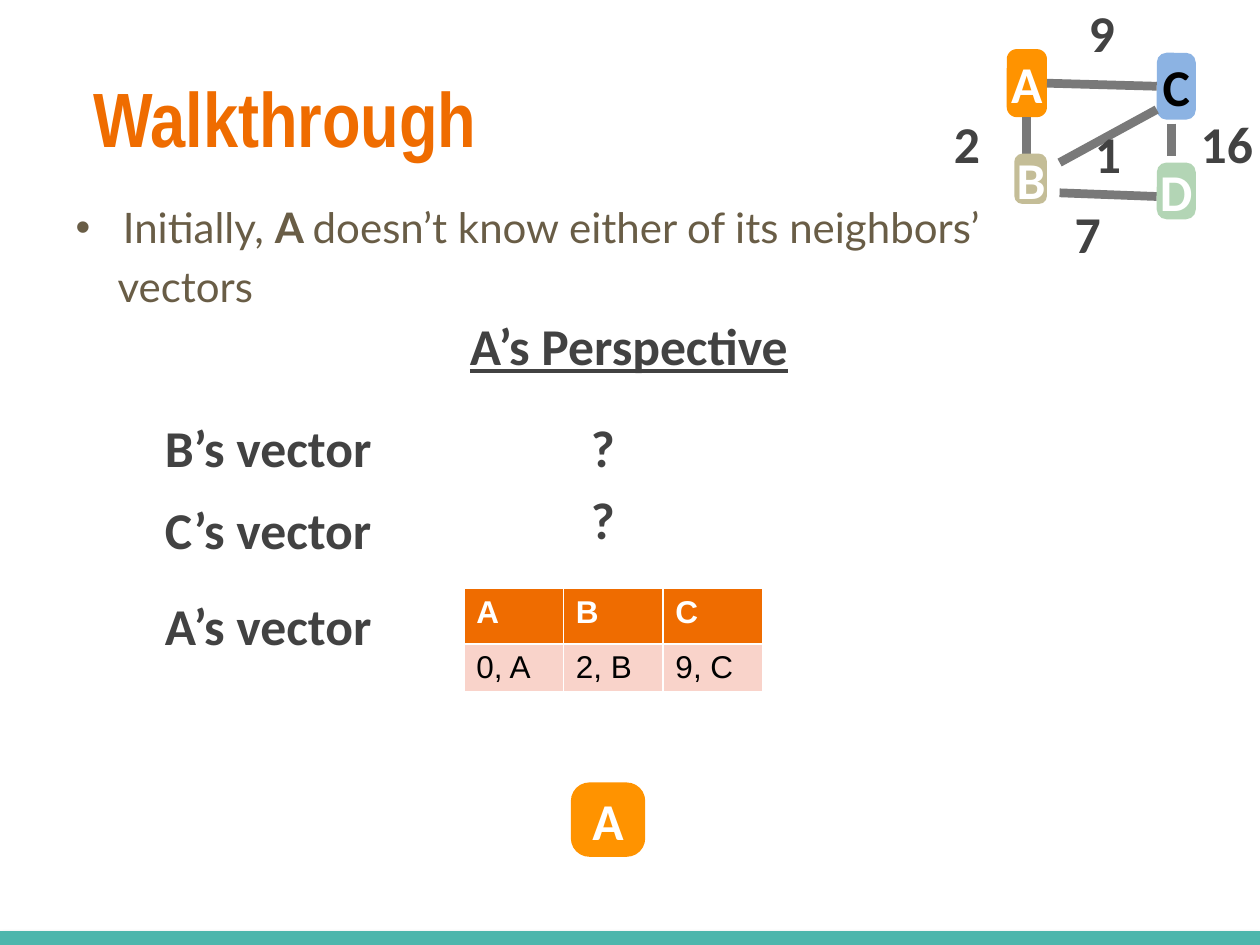
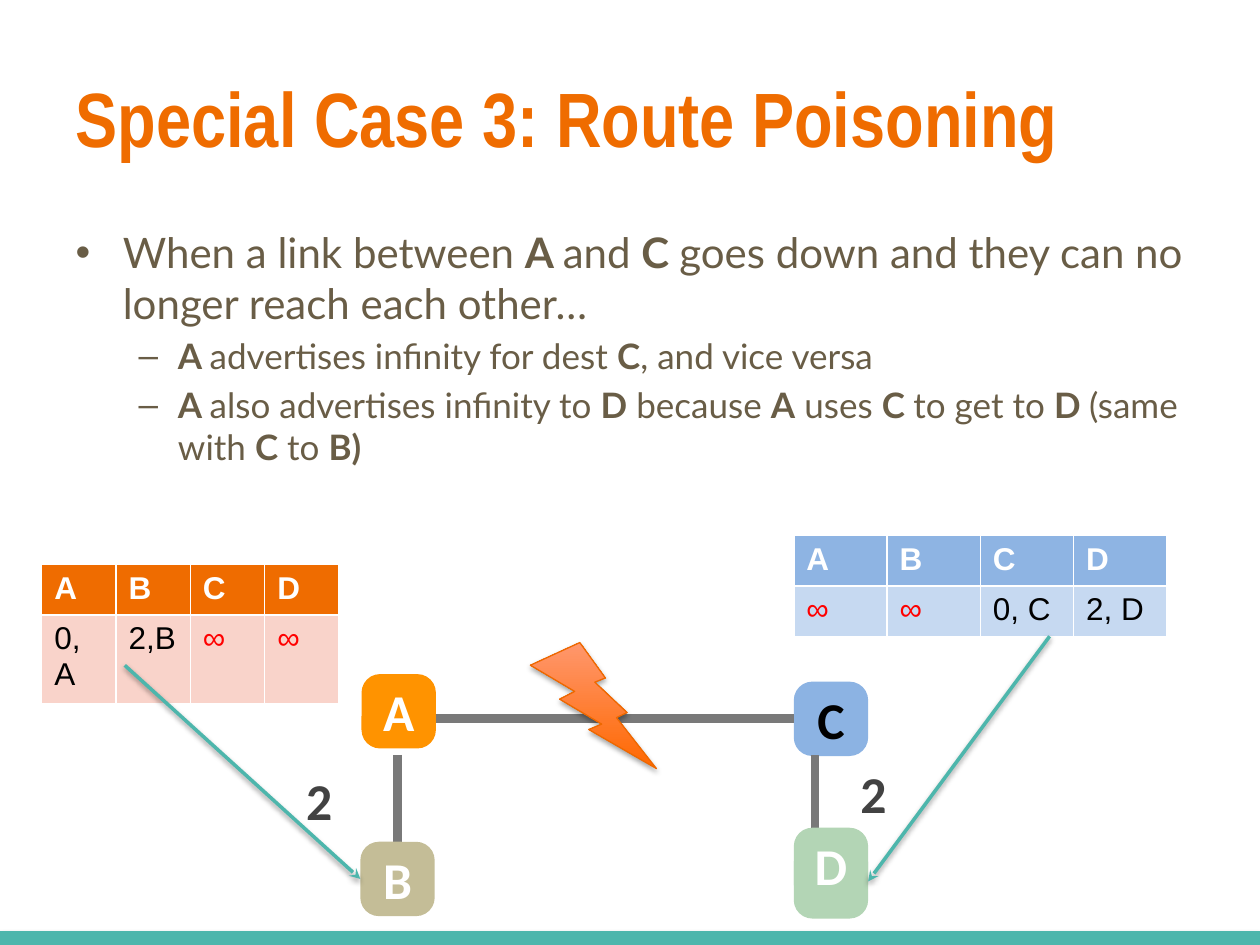
"""Build two slides on distance-vector routing."""
from dataclasses import dataclass

from lxml.etree import SubElement
from pptx import Presentation
from pptx.dml.color import RGBColor
from pptx.enum.shapes import MSO_CONNECTOR, MSO_SHAPE
from pptx.enum.text import MSO_ANCHOR, MSO_AUTO_SIZE, PP_ALIGN
from pptx.oxml.ns import qn
from pptx.util import Pt

TOP, LEFT, BOTTOM, RIGHT = range(4)


@dataclass(frozen=True)
class Theme:
    title: str = "EF6C00"
    body: str = "695D46"
    label: str = "424242"
    accent: str = "4DB6AC"
    link: str = "797979"
    white: str = "FFFFFF"
    black: str = "000000"
    alert: str = "FF0000"
    orange_rows: tuple = ("EF6C00", "F9D3CA")
    blue_rows: tuple = ("8EB4E3", "C6D9F1")
    bolt: tuple = ("FF6800", "FF976D")
    bolt_edge: str = "EE6800"
    title_font: str = "Arial Narrow"
    body_font: str = "Lato"
    label_font: str = "Calibri"
    table_font: str = "Arial"
    title_size: float = 44
    body_sizes: tuple = (24, 20)
    label_size: float = 29.5
    table_size: float = 18


THEME = Theme()
NODE_FILLS = {"A": "FF9300", "B": "C4BD97", "C": "8CB3E3", "D": "B3D5B5"}


def rgb(code):
    return RGBColor.from_string(code)


def write(paragraph, text, *, font, size, color, bold=False, underline=None):
    for index, part in enumerate(text.split("**")):
        if part:
            run = paragraph.add_run()
            run.text = part
            run.font.name = font
            run.font.size = Pt(size)
            run.font.color.rgb = rgb(color)
            run.font.bold = bold or index % 2 == 1
            run.font.underline = underline


def set_insets(frame, horizontal, vertical):
    frame.margin_left = frame.margin_right = Pt(horizontal)
    frame.margin_top = frame.margin_bottom = Pt(vertical)


def set_shadow(shape, opacity=0):
    properties = shape.element.spPr
    effects = properties.find(qn("a:effectLst"))
    if effects is None:
        effects = SubElement(properties, qn("a:effectLst"))
    if opacity:
        shadow = SubElement(effects, qn("a:outerShdw"), blurRad=str(Pt(3.1)),
                            dist=str(Pt(1.6)), dir="5400000", rotWithShape="0")
        tint = SubElement(shadow, qn("a:srgbClr"), val=THEME.black)
        SubElement(tint, qn("a:alpha"), val=str(opacity * 1000))


class Deck:
    def __init__(self, theme):
        self.theme = theme
        self.presentation = Presentation()
        self.presentation.slide_width = Pt(720)
        self.presentation.slide_height = Pt(540)
        self.slide = None

    def new_slide(self, title, title_shift=0):
        theme = self.theme
        layout = self.presentation.slide_layouts[1]
        self.slide = self.presentation.slides.add_slide(layout)
        self.line((0, 537), (720, 537), theme.accent, 10, shadow=38)
        heading = self.slide.shapes.title
        self.place(heading, 36, 21.6, 648, 90)
        frame = heading.text_frame
        frame.auto_size = MSO_AUTO_SIZE.NONE
        frame.vertical_anchor = MSO_ANCHOR.MIDDLE
        set_insets(frame, 7.2, 3.6)
        frame.margin_left = Pt(7.2 + title_shift)
        frame.paragraphs[0].alignment = PP_ALIGN.LEFT
        write(frame.paragraphs[0], title, font=theme.title_font,
              size=theme.title_size, color=theme.title, bold=True)

    def place(self, shape, left, top, width, height):
        shape.left, shape.top = Pt(left), Pt(top)
        shape.width, shape.height = Pt(width), Pt(height)

    def bullets(self, top, items):
        theme = self.theme
        content = self.slide.placeholders[1]
        self.place(content, 36, top, 648, 356.4)
        frame = content.text_frame
        frame.auto_size = MSO_AUTO_SIZE.NONE
        set_insets(frame, 7.2, 3.6)
        for index, (level, bulleted, text) in enumerate(items):
            paragraph = frame.add_paragraph() if index else frame.paragraphs[0]
            paragraph.level = level
            size = theme.body_sizes[level]
            properties = paragraph._p.get_or_add_pPr()
            if bulleted:
                tint = SubElement(properties, qn("a:buClr"))
                SubElement(tint, qn("a:srgbClr"), val=theme.body)
            else:
                properties.set("marL", str(Pt(24)))
                properties.set("indent", "0")
                SubElement(properties, qn("a:buNone"))
            paragraph.space_before = Pt(size * 0.2 if index else 0)
            write(paragraph, text, font=theme.body_font, size=size,
                  color=theme.body)

    def label(self, text, left, top, width, underline=None):
        theme = self.theme
        box = self.slide.shapes.add_textbox(Pt(left), Pt(top), Pt(width), Pt(41.8))
        frame = box.text_frame
        frame.word_wrap = True
        frame.vertical_anchor = MSO_ANCHOR.MIDDLE
        set_insets(frame, 2.8, 2.8)
        write(frame.paragraphs[0], text, font=theme.label_font,
              size=theme.label_size, color=theme.label, bold=True,
              underline=underline)

    def node(self, name, left, top, width=42.5, height=42.5, lettered=True):
        theme = self.theme
        router = self.slide.shapes.add_shape(
            MSO_SHAPE.ROUNDED_RECTANGLE, Pt(left), Pt(top), Pt(width), Pt(height))
        router.adjustments[0] = 0.25
        router.shadow.inherit = False
        router.fill.solid()
        router.fill.fore_color.rgb = rgb(NODE_FILLS[name])
        router.line.fill.background()
        if lettered:
            frame = router.text_frame
            frame.vertical_anchor = MSO_ANCHOR.MIDDLE
            set_insets(frame, 0, 0)
            frame.paragraphs[0].alignment = PP_ALIGN.CENTER
            write(frame.paragraphs[0], name, font=theme.label_font,
                  size=theme.label_size, bold=True,
                  color=theme.black if name == "C" else theme.white)
        return router

    def line(self, start, end, color, width, shadow=0, arrow=False):
        stroke = self.slide.shapes.add_connector(
            MSO_CONNECTOR.STRAIGHT, *map(Pt, start + end))
        stroke.line.color.rgb = rgb(color)
        stroke.line.width = Pt(width)
        if arrow:
            SubElement(stroke.line._get_or_add_ln(), qn("a:tailEnd"), type="stealth")
        set_shadow(stroke, shadow)
        return stroke

    def link(self, start, end):
        return self.line(start, end, self.theme.link, 5)

    def pointer(self, start, router, side):
        arrow = self.line(start, start, self.theme.accent, 2, shadow=38, arrow=True)
        arrow.end_connect(router, side)

    def vector(self, left, top, column, header_height, fills, entries):
        theme = self.theme
        rows = ("ABCD"[:len(entries)], entries)
        table = self.slide.shapes.add_table(
            2, len(entries), Pt(left), Pt(top), Pt(column * len(entries)),
            Pt(header_height + 23)).table
        for row, height in zip(table.rows, (header_height, 23)):
            row.height = Pt(height)
        for r, texts in enumerate(rows):
            for c, text in enumerate(texts):
                table.columns[c].width = Pt(column)
                cell = table.cell(r, c)
                cell.fill.solid()
                cell.fill.fore_color.rgb = rgb(fills[r])
                color = theme.alert if text == "∞" else theme.black
                write(cell.text_frame.paragraphs[0], text, font=theme.table_font,
                      size=theme.table_size, bold=r == 0,
                      color=color if r else theme.white)

    def broken_link(self, left, top, size):
        bolt = self.slide.shapes.add_shape(
            MSO_SHAPE.LIGHTNING_BOLT, Pt(left), Pt(top), Pt(size), Pt(size))
        bolt.fill.gradient()
        bolt.fill.gradient_angle = 90
        for stop, color in zip(bolt.fill.gradient_stops, self.theme.bolt):
            stop.color.rgb = rgb(color)
        bolt.line.color.rgb = rgb(self.theme.bolt_edge)
        bolt.line.width = Pt(0.75)
        bolt.shadow.inherit = False
        set_shadow(bolt, 35)


def walkthrough(deck):
    deck.new_slide("Walkthrough", title_shift=10)
    deck.bullets(111.6, [
        (0, True, "Initially, **A **doesn’t know either of its neighbors’"),
        (0, False, "vectors"),
    ])
    deck.node("A", 326.2, 447.1)
    deck.vector(265, 336.2, 56.9, 31.7, THEME.orange_rows, ("0, A", "2, B", "9, C"))
    deck.label("A’s Perspective", 265.7, 176.4, 206.6, underline=True)
    for name, top in (("B", 234.7), ("C", 281.5), ("A", 336.2)):
        deck.label(f"{name}’s vector", 91.4, top, 139)
    for top in (234.7, 275.8):
        deck.label("?", 334.8, top, 33.8)

    a = deck.node("A", 575.3, 28.1, 23, 38.9)
    c = deck.node("C", 661, 30.2, 22.3, 38.2)
    deck.link((586.8, 67), (586.8, 89.3)).begin_connect(a, BOTTOM)
    deck.link((605.5, 110.2), (661, 112.3))
    deck.link((669.6, 70.6), (669.6, 89.3))
    deck.link((605.5, 92.9), (661, 62.6))
    top_link = deck.link((598.3, 48.2), (661, 48.2))
    top_link.begin_connect(a, RIGHT)
    top_link.end_connect(c, LEFT)
    deck.node("B", 579.6, 87.8, 18.7, 28.8)
    deck.node("D", 661, 92.9, 22.3, 32.4)
    for cost, left, top, width in (
            ("7", 611.3, 112.3, 41.8), ("2", 542.2, 60.5, 21),
            ("16", 683.3, 60.5, 36.7), ("9", 619.2, -2.9, 21),
            ("1", 622.8, 66.2, 21)):
        deck.label(cost, left, top, width)


def route_poisoning(deck):
    deck.new_slide("Special Case 3: Route Poisoning")
    deck.bullets(126, [
        (0, True, "When a link between **A **and **C **goes down and they can "
                  "no longer reach each other…"),
        (1, True, "**A **advertises infinity for dest **C**, and vice versa"),
        (1, True, "**A **also advertises infinity to **D** because **A** uses "
                  "**C **to get to **D **(same with **C** to **B)**"),
    ])
    deck.node("A", 206.6, 385.2)
    c = deck.node("C", 453.6, 389.5)
    deck.link((249, 410.75), (453.6, 410.75)).end_connect(c, LEFT)
    deck.link((465.8, 481), (465.8, 431.3))
    a_to_b = deck.link((227.15, 431.3), (227.15, 481))
    b = deck.node("B", 205.9, 481)
    a_to_b.end_connect(b, TOP)
    d_base = deck.node("D", 453.6, 482.4, lettered=False)
    deck.node("D", 453.6, 473)
    deck.label("2", 172.1, 436.3, 33.8)
    deck.label("2", 488.9, 432, 33.8)
    deck.vector(23.8, 322.6, 42.5, 23, THEME.orange_rows, ("0, A", "2,B", "∞", "∞"))
    deck.vector(453.6, 306, 53.3, 23, THEME.blue_rows, ("∞", "∞", "0, C", "2, D"))
    deck.pointer((71.3, 380.2), b, LEFT)
    deck.pointer((599.8, 363.6), d_base, RIGHT)
    deck.broken_link(303.1, 367.2, 72)


def main():
    deck = Deck(THEME)
    walkthrough(deck)
    route_poisoning(deck)
    deck.presentation.save("out.pptx")


if __name__ == "__main__":
    main()
